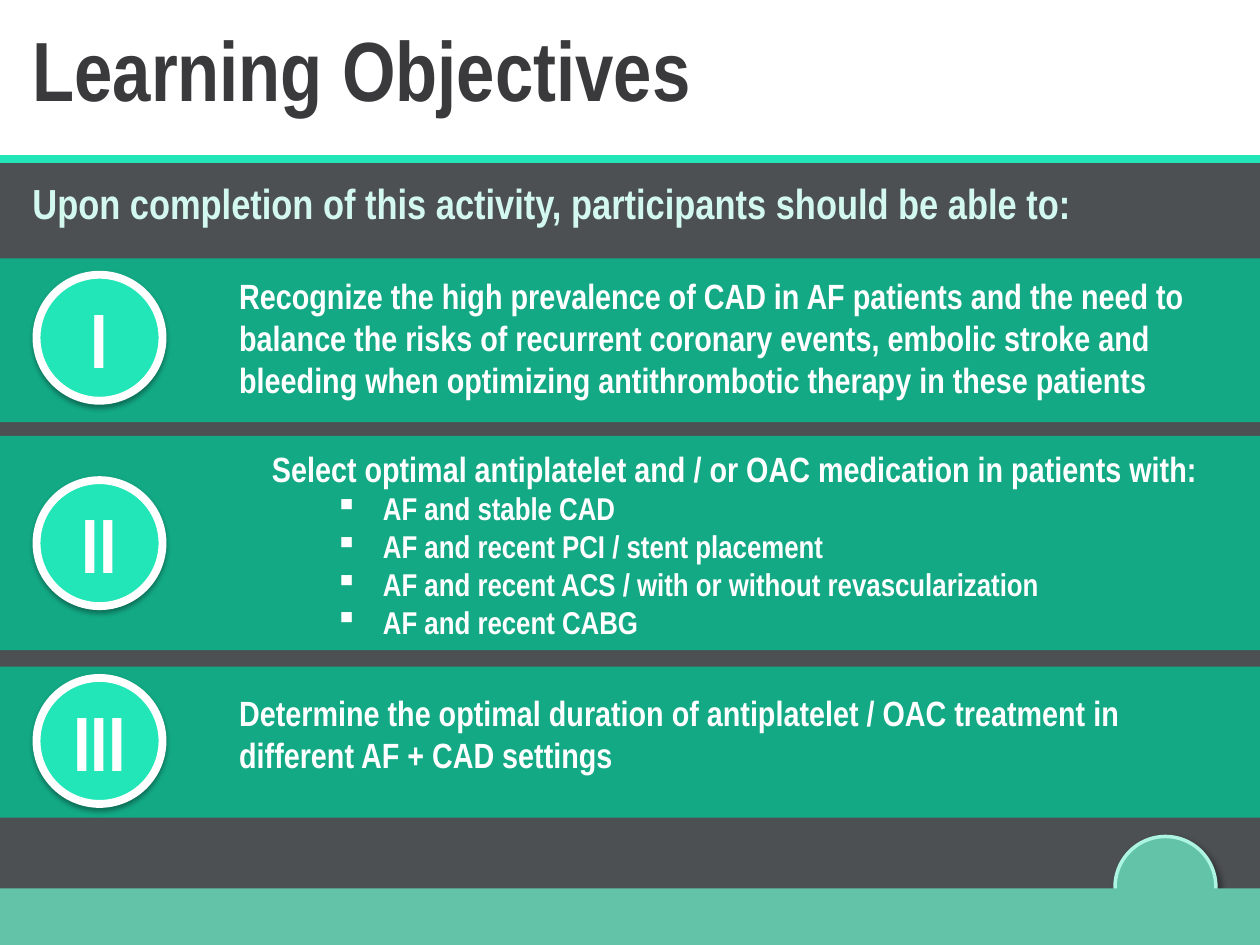
from dataclasses import dataclass

from lxml import etree
from pptx import Presentation
from pptx.dml.color import RGBColor
from pptx.enum.shapes import MSO_CONNECTOR, MSO_SHAPE
from pptx.enum.text import MSO_ANCHOR, PP_ALIGN
from pptx.oxml.ns import qn
from pptx.slide import Slide
from pptx.util import Pt

RECTANGLE = MSO_SHAPE.RECTANGLE
CIRCLE = MSO_SHAPE.FLOWCHART_CONNECTOR
STRAIGHT = MSO_CONNECTOR.STRAIGHT
MIDDLE = MSO_ANCHOR.MIDDLE
LEFT, CENTER = PP_ALIGN.LEFT, PP_ALIGN.CENTER

WIDTH, HEIGHT = 720, 540
COLORS = {
    "backdrop": "4D5052",
    "accent": "22E6B7",
    "title": "3A3A3C",
    "intro": "D3F9EF",
    "footer": "62C3A8",
    "footer_edge": "AEF4E2",
    "band": "13A985",
    "white": "FFFFFF",
    "shadow": "000000",
}
BADGE_SHADOW = {"opacity": 35, "blur": 3.1, "distance": 1.8, "angle": 90}
FOOTER_SHADOW = {"opacity": 40, "blur": 4, "distance": 3, "angle": 45}

OBJECTIVES = [
    {
        "numeral": "I", "band": (147.6, 93.6), "badge_top": 157,
        "box": (129.6, 153.4, 569.5, 79.9),
        "text": "Recognize the high prevalence of CAD in AF patients and the need to "
                "balance the risks of recurrent coronary events, embolic stroke and "
                "bleeding when optimizing antithrombotic therapy in these patients",
        "bullets": [],
    },
    {
        "numeral": "II", "band": (249.1, 122.4), "badge_top": 274.4,
        "box": (148.3, 252, 550.8, 118.8),
        "text": "Select optimal antiplatelet and / or OAC medication in patients with:",
        "bullets": [
            "AF and stable CAD",
            "AF and recent PCI / stent placement",
            "AF and recent ACS / with or without revascularization",
            "AF and recent CABG",
        ],
    },
    {
        "numeral": "III", "band": (380.9, 86.4), "badge_top": 387.4,
        "box": (129.6, 391.7, 569.5, 55.4),
        "text": "Determine the optimal duration of antiplatelet / OAC treatment in "
                "different AF + CAD settings",
        "bullets": [],
    },
]


def write_text(paragraph, text, size=20, color="white", font="Arial Narrow", align=LEFT):
    """Put formatted bold text into a paragraph."""
    paragraph.alignment = align
    run = paragraph.add_run()
    run.text = text
    run.font.name = font
    run.font.size = Pt(size)
    run.font.bold = True
    run.font.color.rgb = RGBColor.from_string(COLORS[color])


@dataclass
class SlideBuilder:
    """Holds the slide and its style, and draws each kind of element."""

    slide: Slide
    font: str = "Arial Narrow"
    bullet: str = "▪"

    def shape(self, kind, left, top, width, height, fill, line=None, line_width=0):
        shape = self.slide.shapes.add_shape(kind, Pt(left), Pt(top), Pt(width), Pt(height))
        shape.shadow.inherit = False
        shape.fill.solid()
        shape.fill.fore_color.rgb = RGBColor.from_string(COLORS[fill])
        if line:
            shape.line.color.rgb = RGBColor.from_string(COLORS[line])
            shape.line.width = Pt(line_width)
        else:
            shape.line.fill.background()
        return shape

    def band(self, top, height, fill):
        return self.shape(RECTANGLE, 0, top, WIDTH, height, fill)

    def shadow(self, shape, opacity, blur, distance, angle):
        effects = shape._element.spPr.find(qn("a:effectLst"))
        outer = etree.SubElement(
            effects, qn("a:outerShdw"), blurRad=str(Pt(blur)), dist=str(Pt(distance)),
            dir=str(angle * 60000), algn="ctr", rotWithShape="0")
        color = etree.SubElement(outer, qn("a:srgbClr"), val=COLORS["shadow"])
        etree.SubElement(color, qn("a:alpha"), val=str(opacity * 1000))

    def rule(self, top, color, width):
        line = self.slide.shapes.add_connector(STRAIGHT, 0, Pt(top), Pt(WIDTH), Pt(top))
        line.line.color.rgb = RGBColor.from_string(COLORS[color])
        line.line.width = Pt(width)
        etree.SubElement(line._element.spPr, qn("a:effectLst"))

    def badge(self, top, numeral):
        shape = self.shape(CIRCLE, 20.9, top, 72, 72, "accent", "white", 4.5)
        self.shadow(shape, **BADGE_SHADOW)
        frame = shape.text_frame
        frame.vertical_anchor = MIDDLE
        frame.margin_left = frame.margin_right = 0
        write_text(frame.paragraphs[0], numeral, size=44, font=self.font, align=CENTER)

    def text(self, left, top, width, height, text, **style):
        box = self.slide.shapes.add_textbox(Pt(left), Pt(top), Pt(width), Pt(height))
        frame = box.text_frame
        frame.word_wrap = True
        write_text(frame.paragraphs[0], text, font=self.font, **style)
        return frame

    def bullets(self, frame, items):
        for item in items:
            paragraph = frame.add_paragraph()
            paragraph.level = 1
            properties = paragraph._p.get_or_add_pPr()
            properties.set("marL", str(Pt(63.4)))
            properties.set("indent", str(Pt(-27.4)))
            etree.SubElement(properties, qn("a:buChar"), char=self.bullet)
            write_text(paragraph, item, size=18, font=self.font)

    def objective(self, numeral, band, badge_top, box, text, bullets):
        self.band(*band, "band")
        self.badge(badge_top, numeral)
        self.bullets(self.text(*box, text), bullets)


def main():
    presentation = Presentation()
    presentation.slide_width, presentation.slide_height = Pt(WIDTH), Pt(HEIGHT)
    builder = SlideBuilder(presentation.slides.add_slide(presentation.slide_layouts[6]))

    builder.band(90.7, 419.8, "backdrop")
    builder.rule(90.7, "accent", 4.5)
    builder.text(11.5, 6.5, 635, 65.5, "Learning Objectives", size=48, color="title")
    builder.text(11.5, 97.9, 676.8, 34.6,
                 "Upon completion of this activity, participants should be able to:",
                 size=24, color="intro")
    dome = builder.shape(CIRCLE, 637.2, 478, 57.6, 57.6, "footer", "footer_edge", 2)
    builder.shadow(dome, **FOOTER_SHADOW)
    builder.band(507.6, HEIGHT - 507.6, "footer")
    for objective in OBJECTIVES:
        builder.objective(**objective)

    presentation.save("out.pptx")


if __name__ == "__main__":
    main()
